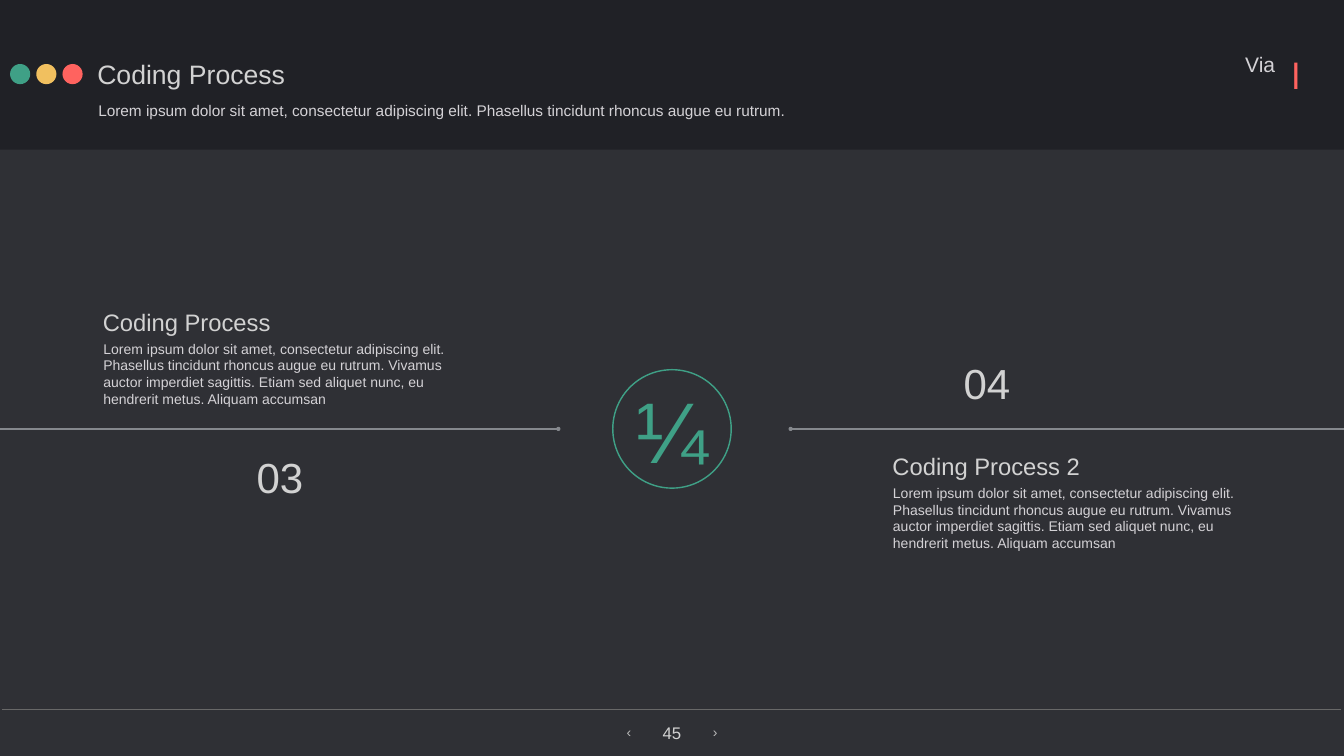
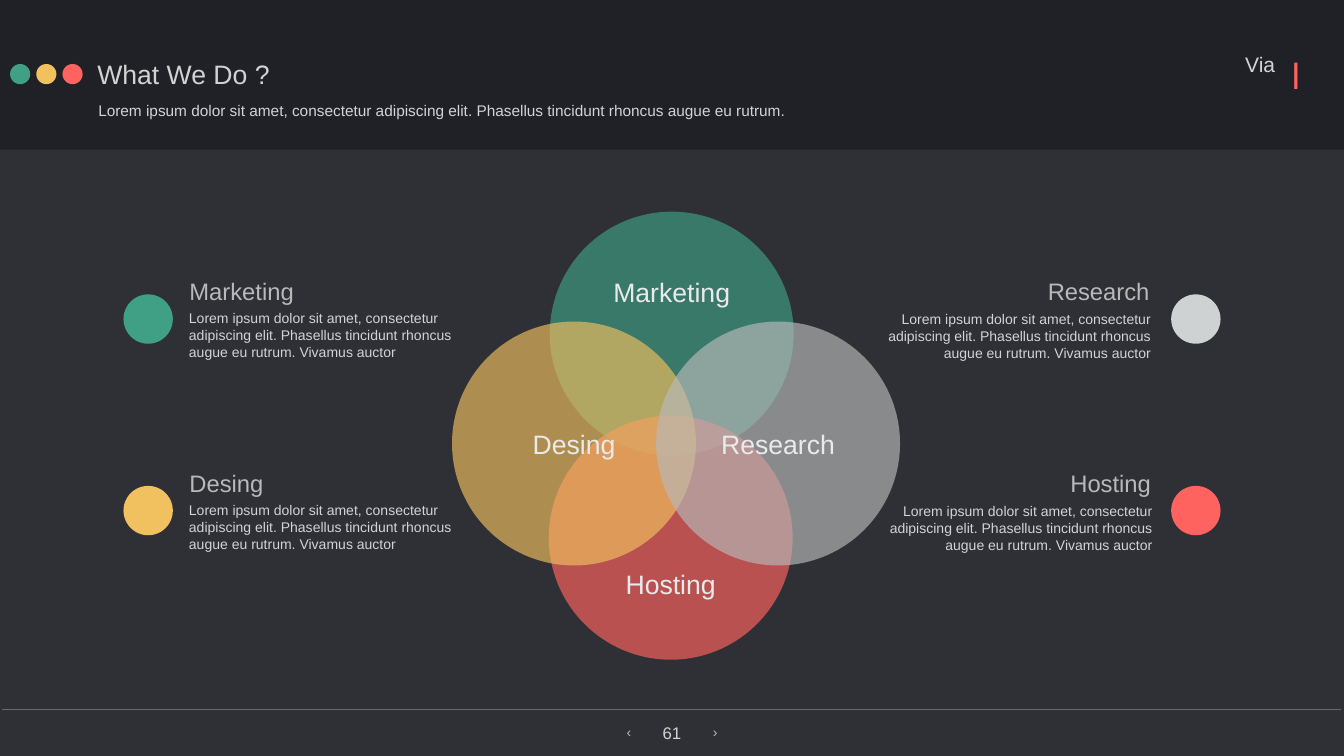
from dataclasses import dataclass
from typing import NamedTuple, Optional

from pptx import Presentation
from pptx.dml.color import RGBColor
from pptx.enum.shapes import MSO_CONNECTOR, MSO_SHAPE
from pptx.enum.text import MSO_ANCHOR, MSO_AUTO_SIZE, PP_ALIGN
from pptx.oxml.ns import qn
from pptx.slide import Slide
from pptx.util import Inches, Pt
from lxml.etree import SubElement


@dataclass(frozen=True)
class Theme:
    font: str = "Arial"
    back: str = "2F3035"
    band: str = "202126"
    rule: str = "686868"
    wire: str = "85888D"
    green: str = "3FA086"
    gold: str = "F1C05F"
    red: str = "FF635F"
    pale: str = "CED2D2"
    gray: str = "B9B9B9"
    head: str = "D2D2D2"
    body: str = "D4D2D6"
    light: str = "EAEAEA"
    small: int = 20
    lead: int = 22
    page: int = 24
    name: int = 30
    sub: int = 34
    title: int = 38
    bar: int = 52
    count: int = 60
    sign: int = 123


class Box(NamedTuple):
    col: float
    row: float
    wide: float
    high: float


class Step(NamedTuple):
    title: str
    count: str
    col: float
    row: float
    wide: float
    spot: Box
    ends: tuple[float, float]
    dot: str


class Ring(NamedTuple):
    label: str
    color: str
    col: float
    row: float
    wide: float
    shift: float


class Note(NamedTuple):
    title: str
    color: str
    row: float
    wide: float
    col: float
    right: bool


THEME = Theme()
COLS, ROWS = 26.67, 15
CELL = Inches(1)
MID = COLS / 2
LEFT, CENTER, RIGHT = PP_ALIGN.LEFT, PP_ALIGN.CENTER, PP_ALIGN.RIGHT
TOP, MIDDLE = MSO_ANCHOR.TOP, MSO_ANCHOR.MIDDLE

LEAD = ("Lorem ipsum dolor sit amet, consectetur adipiscing elit. "
        "Phasellus tincidunt rhoncus augue eu rutrum.")
BRIEF = LEAD + " Vivamus auctor"
LONG = BRIEF + (" imperdiet sagittis. Etiam sed aliquet nunc, "
                "eu hendrerit metus. Aliquam accumsan")

WIRE = 8.51
STEPS = [
    Step("Coding Process", "03", 1.98, 6.04, 3.46,
         Box(5.03, 8.9, 1.05, 1.11), (-0.02, 11.08), "tailEnd"),
    Step("Coding Process 2", "04", 17.65, 8.9, 3.85,
         Box(19.06, 7.04, 1.05, 1.11), (15.69, 26.79), "headEnd"),
]

RING = 4.84
RINGS = [
    Ring("Marketing", THEME.green, 13.33, 6.62, 2.5, -0.83),
    Ring("Hosting", THEME.red, 13.31, 10.67, 2, 0.92),
    Ring("Desing", THEME.gold, 11.39, 8.8, 1.85, 0),
    Ring("Research", THEME.gray, 15.44, 8.8, 2.45, 0),
]

DOT, EDGE = 0.98, 2.45
NOTES = [
    Note("Marketing", THEME.green, 5.84, 2.2, 3.69, False),
    Note("Desing", THEME.gold, 9.64, 1.59, 3.69, False),
    Note("Research", THEME.pale, 5.84, 2.15, 17.44, True),
    Note("Hosting", THEME.red, 9.64, 1.73, 17.47, True),
]


def span(cells: float) -> int:
    return int(cells * CELL)


def tint(code: str) -> RGBColor:
    return RGBColor.from_string(code)


def shape(slide: Slide, kind: MSO_SHAPE, box: Box, color: str,
          alpha: Optional[int] = None, line: Optional[str] = None) -> None:
    item = slide.shapes.add_shape(kind, *map(span, box))
    item.shadow.inherit = False
    item.fill.solid()
    item.fill.fore_color.rgb = tint(color)
    if alpha is not None:
        code = item.element.spPr.find(qn("a:solidFill"))[0]
        SubElement(code, qn("a:alpha"), val=str(alpha * 1000))
    if line:
        item.line.color.rgb = tint(line)
        item.line.width = Pt(2)
    else:
        item.line.fill.background()


def disc(slide: Slide, box: Box, color: str,
         alpha: Optional[int] = None, line: Optional[str] = None) -> None:
    shape(slide, MSO_SHAPE.OVAL, box, color, alpha, line)


def rule(slide: Slide, ends: tuple[float, float], row: float, color: str,
         width: int, dot: Optional[str] = None) -> None:
    start, stop = ends
    item = slide.shapes.add_connector(
        MSO_CONNECTOR.STRAIGHT, span(start), span(row), span(stop), span(row))
    item.line.color.rgb = tint(color)
    item.line.width = Pt(width)
    if dot:
        stroke = item.element.spPr.find(qn("a:ln"))
        SubElement(stroke, qn("a:" + dot), type="oval")
    SubElement(item.element.spPr, qn("a:effectLst"))


def text(slide: Slide, box: Box, words: str, size: int, color: str,
         align: PP_ALIGN = LEFT, anchor: MSO_ANCHOR = TOP,
         wrap: bool = False) -> None:
    frame = slide.shapes.add_textbox(*map(span, box)).text_frame
    frame.margin_left = frame.margin_right = span(0.06)
    frame.margin_top = frame.margin_bottom = span(0.06)
    frame.word_wrap = wrap
    frame.auto_size = MSO_AUTO_SIZE.SHAPE_TO_FIT_TEXT
    frame.vertical_anchor = anchor
    para = frame.paragraphs[0]
    para.alignment = align
    run = para.add_run()
    run.text = words
    run.font.name = THEME.font
    run.font.size = Pt(size)
    run.font.color.rgb = tint(color)


def base(deck: Presentation, title: str, wide: float, page: str) -> Slide:
    slide = deck.slides.add_slide(deck.slide_layouts[6])
    slide.background.fill.solid()
    slide.background.fill.fore_color.rgb = tint(THEME.back)
    shape(slide, MSO_SHAPE.RECTANGLE, Box(-0.25, -0.03, 27.18, 3), THEME.band)
    rule(slide, (0.04, 26.62), 14.07, THEME.rule, 1)
    for step, color in enumerate((THEME.green, THEME.gold, THEME.red)):
        disc(slide, Box(0.2 + 0.52 * step, 1.27, 0.4, 0.4), color)
    text(slide, Box(24.65, 0.97, 0.72, 0.61), "Via", THEME.name, THEME.body,
         anchor=MIDDLE)
    text(slide, Box(25.57, 1.01, 0.29, 0.97), "l", THEME.bar, THEME.red,
         CENTER, MIDDLE)
    for col, mark in ((12.37, "‹"), (14.08, "›")):
        text(slide, Box(col, 14.31, 0.22, 0.44), mark, THEME.small,
             THEME.gray, CENTER, MIDDLE)
    text(slide, Box(MID - 0.25, 14.28, 0.5, 0.51), page, THEME.page,
         THEME.head, CENTER)
    text(slide, Box(1.87, 1.09, wide, 0.75), title, THEME.title, THEME.head,
         anchor=MIDDLE)
    text(slide, Box(1.89, 1.95, 13.78, 0.47), LEAD, THEME.lead, THEME.body)
    return slide


def stage(slide: Slide, step: Step) -> None:
    rule(slide, step.ends, WIRE, THEME.wire, 2, step.dot)
    text(slide, Box(step.col, step.row, step.wide, 0.68), step.title,
         THEME.sub, THEME.head)
    text(slide, Box(step.col + 0.01, step.row + 0.65, 7.14, 1.44), LONG,
         THEME.small, THEME.body, wrap=True)
    text(slide, step.spot, step.count, THEME.count, THEME.head, CENTER)


def venn(slide: Slide, ring: Ring) -> None:
    disc(slide, Box(ring.col - RING / 2, ring.row - RING / 2, RING, RING),
         ring.color, 66)
    row = ring.row + ring.shift - 0.375
    text(slide, Box(ring.col - ring.wide / 2, row, ring.wide, 0.75),
         ring.label, THEME.title, THEME.light, CENTER, MIDDLE)


def legend(slide: Slide, note: Note) -> None:
    wide = 5.46
    if note.right:
        dot, align, drop = COLS - EDGE - DOT, RIGHT, 0.27
        col = note.col + wide - 0.03 - note.wide
    else:
        dot, align, drop = EDGE, LEFT, 0.25
        col = note.col + 0.01
    disc(slide, Box(dot, note.row, DOT, DOT), note.color)
    text(slide, Box(note.col, note.row + drop, wide, 1.11), BRIEF,
         THEME.small, THEME.body, align, wrap=True)
    text(slide, Box(col, note.row - 0.4, note.wide, 0.68), note.title,
         THEME.sub, THEME.gray, align)


def coding(deck: Presentation) -> None:
    slide = base(deck, "Coding Process", 3.85, "45")
    side = 2.35
    disc(slide, Box(MID - side / 2, WIRE - side / 2, side, side),
         THEME.back, line=THEME.green)
    text(slide, Box(MID - 0.775, 7.43, 1.55, 2.17), "¼", THEME.sign,
         THEME.green, CENTER, MIDDLE)
    for step in STEPS:
        stage(slide, step)


def work(deck: Presentation) -> None:
    slide = base(deck, "What We Do ?", 3.55, "61")
    for ring in RINGS:
        venn(slide, ring)
    for note in NOTES:
        legend(slide, note)


def main() -> None:
    deck = Presentation()
    deck.slide_width, deck.slide_height = span(COLS), span(ROWS)
    coding(deck)
    work(deck)
    deck.save("out.pptx")


if __name__ == "__main__":
    main()
